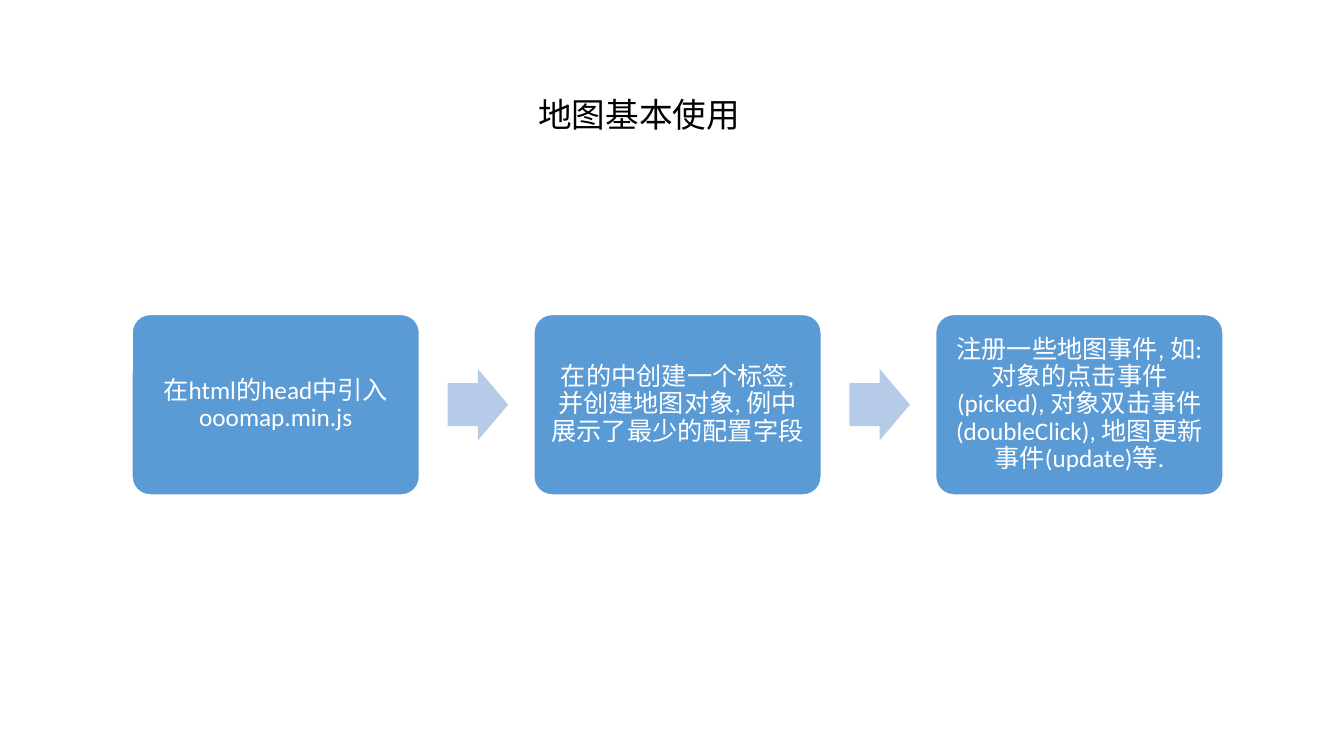
from dataclasses import dataclass

from pptx import Presentation
from pptx.dml.color import RGBColor
from pptx.enum.shapes import MSO_SHAPE
from pptx.enum.text import MSO_ANCHOR, MSO_AUTO_SIZE, PP_ALIGN
from pptx.util import Inches, Pt


@dataclass(frozen=True)
class Theme:
    font: str = "Calibri"
    title_size: Pt = Pt(24)
    step_size: Pt = Pt(18)
    ink: RGBColor = RGBColor(0x00, 0x00, 0x00)
    paper: RGBColor = RGBColor(0xFF, 0xFF, 0xFF)
    step: RGBColor = RGBColor(0x5B, 0x9B, 0xD5)
    arrow: RGBColor = RGBColor(0xB5, 0xCB, 0xE7)


theme = Theme()

steps = [
    "在html的head中引入ooomap.min.js",
    "在的中创建一个标签, 并创建地图对象, 例中展示了最少的配置字段",
    "注册一些地图事件, 如: 对象的点击事件(picked), 对象双击事件(doubleClick), 地图更新事件(update)等.",
]

# Grid of the process row, in inches
first_left, column_pitch = 1.31, 3.985
step_width, step_height = 2.85, 1.79
arrow_width, arrow_height = 0.6, 0.71
arrow_gap = 0.28
row_middle = 4.015
step_inset = Inches(0.07)


def style_text(paragraph, size, color):
    paragraph.font.name = theme.font
    paragraph.font.size = size
    paragraph.font.color.rgb = color


def add_block(preset, left, width, height, fill, adjustments):
    """Add a filled shape centred vertically on the process row."""
    block = slide.shapes.add_shape(
        preset, Inches(left), Inches(row_middle - height / 2),
        Inches(width), Inches(height))
    for index, value in enumerate(adjustments):
        block.adjustments[index] = value
    block.shadow.inherit = False
    block.fill.solid()
    block.fill.fore_color.rgb = fill
    block.line.fill.background()
    return block


presentation = Presentation()
presentation.slide_width = Inches(13.33)
presentation.slide_height = Inches(7.5)
slide = presentation.slides.add_slide(presentation.slide_layouts[6])

title = slide.shapes.add_textbox(
    Inches(5.24), Inches(0.88), Inches(2.22), Inches(0.5)).text_frame
title.word_wrap = True
title.auto_size = MSO_AUTO_SIZE.SHAPE_TO_FIT_TEXT
title.text = "地图基本使用"
style_text(title.paragraphs[0], theme.title_size, theme.ink)

for column, wording in enumerate(steps):
    left = first_left + column * column_pitch
    step = add_block(MSO_SHAPE.ROUNDED_RECTANGLE, left, step_width,
                     step_height, theme.step, [0.1])
    step.line.color.rgb = theme.paper
    step.line.width = Pt(1)

    frame = step.text_frame
    frame.word_wrap = True
    frame.vertical_anchor = MSO_ANCHOR.MIDDLE
    frame.margin_left = frame.margin_right = step_inset
    frame.margin_top = frame.margin_bottom = step_inset
    frame.text = wording
    paragraph = frame.paragraphs[0]
    paragraph.alignment = PP_ALIGN.CENTER
    paragraph.line_spacing = 0.9
    style_text(paragraph, theme.step_size, theme.paper)

    if column < len(steps) - 1:
        add_block(MSO_SHAPE.RIGHT_ARROW, left + step_width + arrow_gap,
                  arrow_width, arrow_height, theme.arrow, [0.6, 0.5])

presentation.save("out.pptx")
